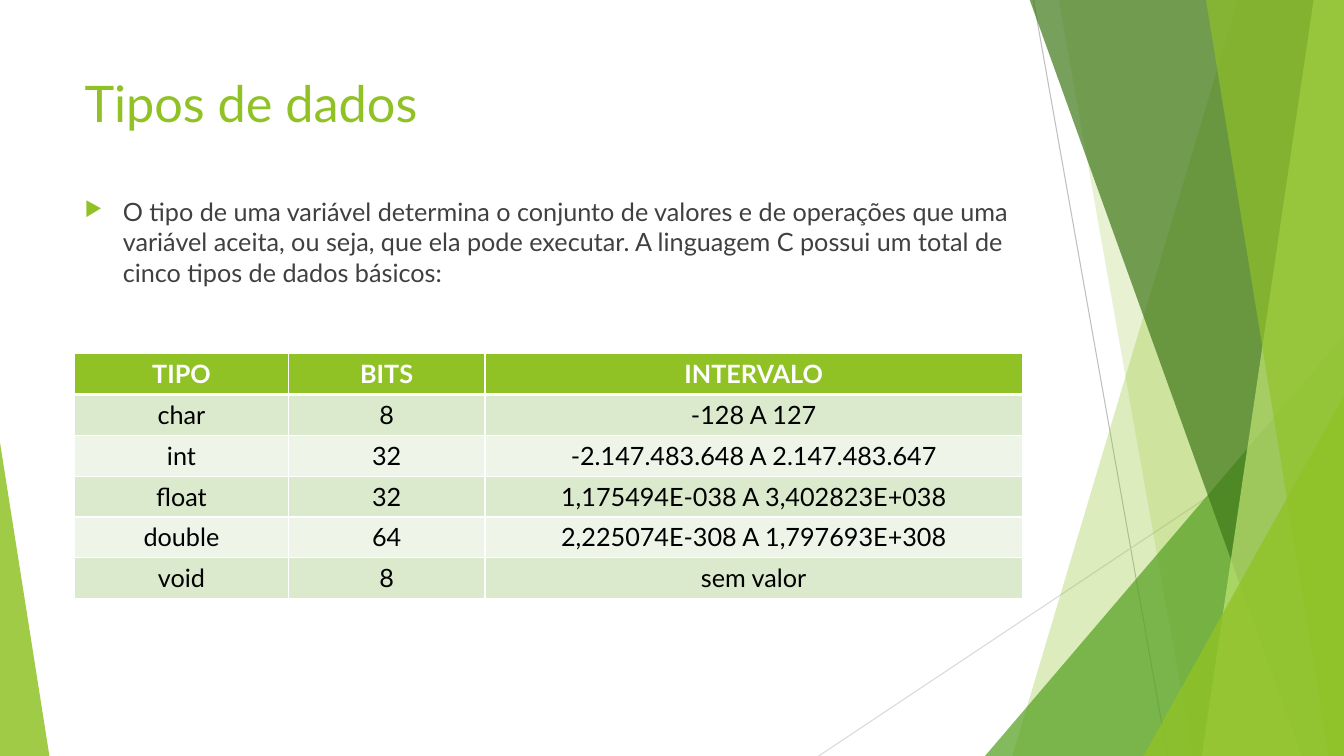
from dataclasses import dataclass

from lxml import etree
from pptx import Presentation
from pptx.dml.color import RGBColor
from pptx.enum.shapes import MSO_CONNECTOR as Connector, MSO_SHAPE as Preset
from pptx.enum.text import MSO_ANCHOR as Anchor, PP_ALIGN as Align
from pptx.oxml.ns import qn
from pptx.util import Inches, Pt


@dataclass(frozen=True)
class Theme:
    """Colours and type of the slide."""
    font: str = "Lato"
    title_size: int = 36
    body_size: int = 18
    accent: str = "90C226"
    green: str = "54A021"
    dark_green: str = "3F7819"
    pale_green: str = "C0E474"
    band_dark: str = "DBE9CD"
    band_light: str = "EEF4E8"
    line: str = "BFBFBF"
    light_line: str = "D9D9D9"
    body: str = "404040"
    white: str = "FFFFFF"
    black: str = "000000"


@dataclass(frozen=True)
class Box:
    """A region of the slide, in inches."""
    left: float
    top: float
    width: float
    height: float

    @property
    def right(self):
        """Right edge."""
        return self.left + self.width

    @property
    def bottom(self):
        """Bottom edge."""
        return self.top + self.height

    def lengths(self):
        """Left, top, width and height as lengths."""
        return [Inches(n) for n in (self.left, self.top, self.width, self.height)]


THEME = Theme()
TITLE = "Tipos de dados"
BODY = ("O tipo de uma variável determina o conjunto de valores e de operações que uma "
        "variável aceita, ou seja, que ela pode executar. A linguagem C possui um total "
        "de cinco tipos de dados básicos:")
COLUMNS = (2.12, 1.95, 5.33)
ROWS = (
    ("TIPO", "BITS", "INTERVALO"),
    ("char", "8", "-128 A 127"),
    ("int", "32", "-2.147.483.648 A 2.147.483.647"),
    ("float", "32", "1,175494E-038 A 3,402823E+038"),
    ("double", "64", "2,225074E-308 A 1,797693E+308"),
    ("void", "8", "sem valor"),
)


def add_xml(parent, tag, **attributes):
    """Append a drawing element to its parent."""
    return etree.SubElement(parent, qn(tag), attributes)


def style_text(paragraph, size, color, bold=False):
    """Format every run of a paragraph."""
    for run in paragraph.runs:
        run.font.name = THEME.font
        run.font.size = Pt(size)
        run.font.bold = bold
        run.font.color.rgb = RGBColor.from_string(color)


def paint(shape, color, opacity):
    """Give a shape a translucent fill without line or shadow."""
    shape.shadow.inherit = False
    shape.line.fill.background()
    shape.fill.solid()
    shape.fill.fore_color.rgb = RGBColor.from_string(color)
    color_node = shape._element.spPr.find(qn("a:solidFill"))[0]
    add_xml(color_node, "a:alpha", val=str(opacity * 1000))


def add_line(slide, start, end, color):
    """Draw a thin straight line."""
    points = [Inches(n) for n in (*start, *end)]
    connector = slide.shapes.add_connector(Connector.STRAIGHT, *points)
    connector.line.color.rgb = RGBColor.from_string(color)
    connector.line.width = Pt(0.75)
    add_xml(connector._element.spPr, "a:effectLst")


def add_triangle(slide, box, apex, color, opacity):
    """Draw a right triangle whose apex is at the left (0) or right (1)."""
    triangle = slide.shapes.add_shape(Preset.ISOSCELES_TRIANGLE, *box.lengths())
    triangle.adjustments[0] = apex
    paint(triangle, color, opacity)


def add_facet(slide, box, top_inset, bottom_inset, color, opacity):
    """Draw a full-height facet; insets run leftwards from the right edge."""
    corners = [(box.right - top_inset, box.top), (box.right, box.top),
               (box.right, box.bottom), (box.right - bottom_inset, box.bottom)]
    points = [(Inches(x), Inches(y)) for x, y in corners]
    builder = slide.shapes.build_freeform(*points[0])
    builder.add_line_segments(points[1:], close=True)
    paint(builder.convert_to_shape(), color, opacity)


def add_decoration(slide, box):
    """Place the lines and green facets over the whole slide."""
    add_line(slide, (box.right - 3.08, box.top), (box.right - 1.75, box.bottom), THEME.line)
    add_line(slide, (box.right, box.bottom - 3.47), (box.right - 5.21, box.bottom),
             THEME.light_line)
    band = Box(box.left, box.top - 0.01, box.width, box.height + 0.01)

    def corner(width, height, color, opacity):
        """Place a triangle in the lower right corner."""
        area = Box(box.right - width, box.bottom - height, width, height)
        add_triangle(slide, area, 1, color, opacity)

    add_facet(slide, band, 1.05, 3.29, THEME.accent, 30)
    add_facet(slide, band, 2.83, 1.5, THEME.accent, 20)
    corner(3.56, 4.17, THEME.green, 72)
    add_facet(slide, band, 3.12, 0.42, THEME.dark_green, 70)
    add_facet(slide, band, 0.3, 1.41, THEME.pale_green, 70)
    add_facet(slide, band, 1.37, 0.15, THEME.accent, 65)
    corner(1.99, 3.57, THEME.accent, 80)
    add_triangle(slide, Box(box.left, box.bottom - 3.11, 0.49, 3.11), 0, THEME.accent, 85)


def add_text(slide, box, text, size, color):
    """Place a wrapped text box and return its paragraph."""
    frame = slide.shapes.add_textbox(*box.lengths()).text_frame
    frame.word_wrap = True
    frame.vertical_anchor = Anchor.TOP
    frame.text = text
    style_text(frame.paragraphs[0], size, color)
    return frame.paragraphs[0]


def add_body(slide, box):
    """Place the bulleted explanation."""
    paragraph = add_text(slide, box, BODY, THEME.body_size, THEME.body)
    paragraph.space_before = Pt(10)
    properties = paragraph._p.get_or_add_pPr()
    properties.set("marL", str(Inches(0.38)))
    properties.set("indent", str(-Inches(0.38)))
    add_xml(add_xml(properties, "a:buClr"), "a:srgbClr", val=THEME.accent)
    add_xml(properties, "a:buSzPct", val="80000")
    add_xml(properties, "a:buChar", char="▶")


def style_cell(cell, fill, header):
    """Set fill, margins and white borders of a cell."""
    cell.margin_left = cell.margin_right = Inches(0.12)
    cell.margin_top = cell.margin_bottom = Inches(0.05)
    properties = cell._tc.get_or_add_tcPr()
    for side in "LRTB":
        width = Pt(3 if header and side == "B" else 1)
        border = add_xml(properties, f"a:ln{side}", w=str(width))
        add_xml(add_xml(border, "a:solidFill"), "a:srgbClr", val=THEME.white)
    cell.fill.solid()
    cell.fill.fore_color.rgb = RGBColor.from_string(fill)


def add_types_table(slide, box):
    """Place the table of data types."""
    table = slide.shapes.add_table(len(ROWS), len(COLUMNS), *box.lengths()).table
    for column, width in zip(table.columns, COLUMNS):
        column.width = Inches(width)
    for i, values in enumerate(ROWS):
        header = i == 0
        band = THEME.band_dark if i % 2 else THEME.band_light
        for j, value in enumerate(values):
            cell = table.cell(i, j)
            cell.text_frame.text = value
            paragraph = cell.text_frame.paragraphs[0]
            paragraph.alignment = Align.CENTER
            style_text(paragraph, THEME.body_size, THEME.white if header else THEME.black, header)
            style_cell(cell, THEME.accent if header else band, header)


def main():
    """Build and save the slide."""
    presentation = Presentation()
    presentation.slide_width, presentation.slide_height = Inches(13.33), Inches(7.5)
    slide = presentation.slides.add_slide(presentation.slide_layouts[6])
    add_decoration(slide, Box(0, 0, 13.33, 7.5))
    add_text(slide, Box(0.74, 0.67, 9.4, 1.44), TITLE, THEME.title_size, THEME.accent)
    add_types_table(slide, Box(0.74, 3.51, 9.4, 2.43))
    add_body(slide, Box(0.74, 1.9, 9.4, 2.83))
    presentation.save("out.pptx")


if __name__ == "__main__":
    main()
